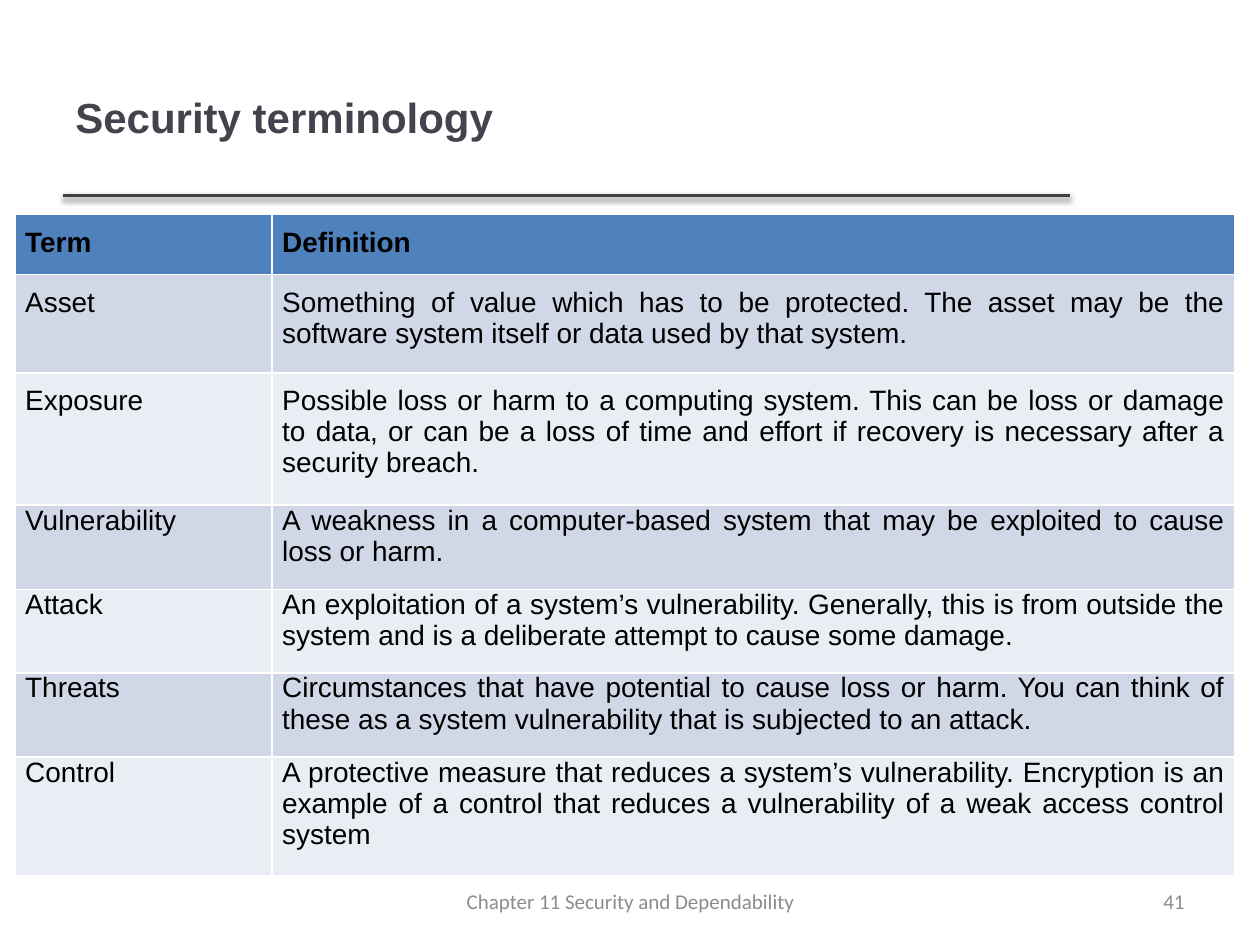
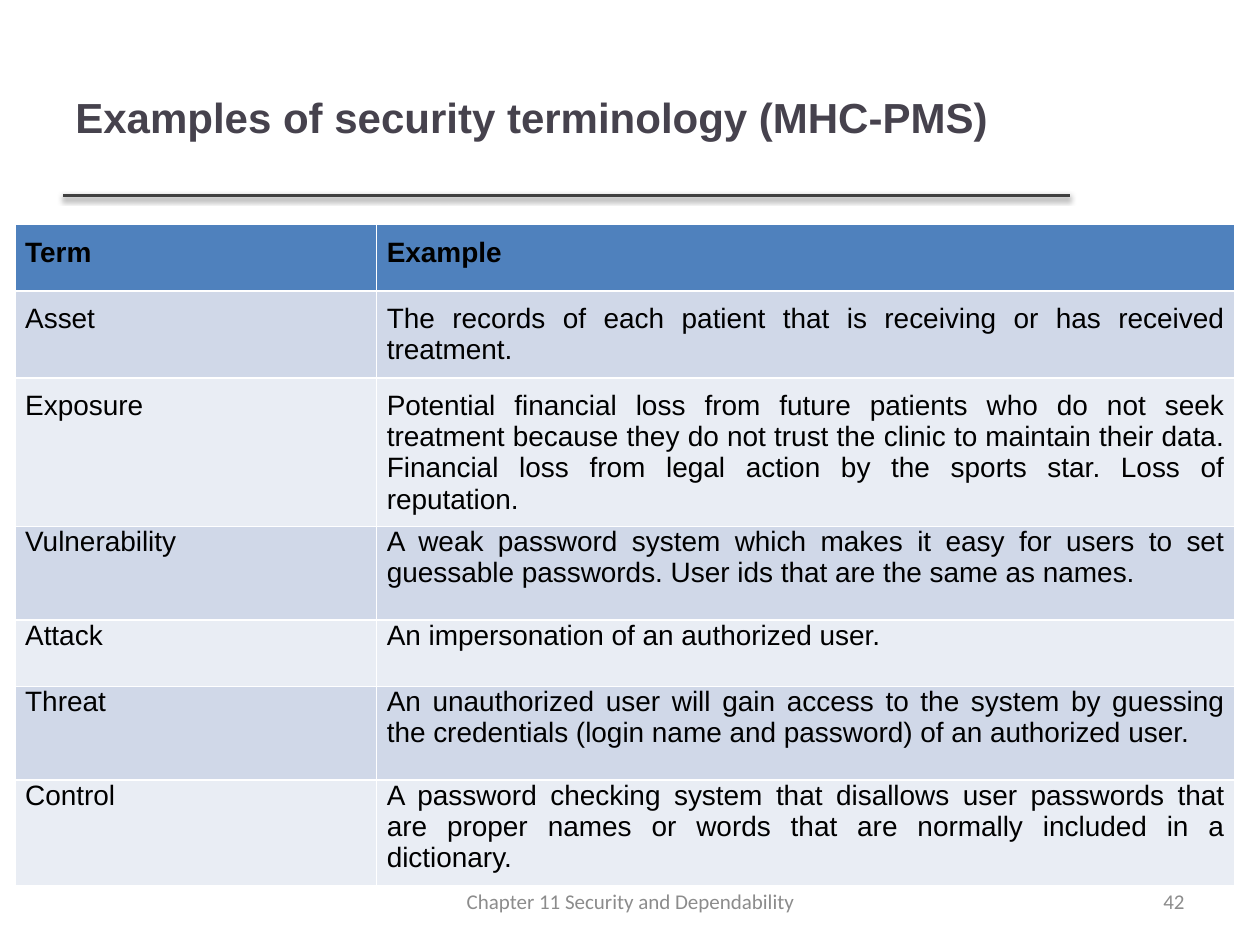
"""Build two slides of security terms, each with a title, a rule, a table and a footer."""
from dataclasses import dataclass
from typing import Any

from pptx import Presentation, util as u
from pptx.dml import color as c
from pptx.enum import shapes, text
from pptx.oxml import parse_xml
from pptx.oxml import ns

COLOURS: dict[str, str] = {
    "title": "46424D", "rule": "404040", "footer": "8C8C8C", "text": "000000",
    "header": "4F81BD", "odd": "D0D8E8", "even": "E9EDF4",
    "border": "FFFFFF", "shadow": "000000",
}
TITLE_FONT = {"name": "Arial", "size": u.Pt(24), "bold": True}
FOOTER_FONT = {"name": "Calibri", "size": u.Pt(12), "bold": False}
HEADER_FONT = {"name": "Arial", "size": u.Pt(16), "bold": True}
BODY_FONT = HEADER_FONT | {"bold": False}
FOOTER_TEXT = "Chapter 11 Security and Dependability"
TABLE_LEFT, TABLE_WIDTH = 0.12, 9.68
CELL_SIDE, CELL_TOP = 0.08, 0.1
PADDED_ROWS = 3


@dataclass(frozen=True)
class Label:
    """A text box with its place and format."""
    left: float
    top: float
    width: float
    height: float
    colour: str
    font: dict[str, Any]
    alignment: text.PP_ALIGN


@dataclass(frozen=True)
class TermPage:
    """The content of one slide and the measures of its table."""
    number: int
    title: str
    table_top: float
    term_width: float
    row_heights: list[float]
    rows: list[tuple[str, str]]


TITLE = Label(0.5, 0.3, 7.98, 1.25, "title", TITLE_FONT, text.PP_ALIGN.LEFT)
NUMBER = Label(7.17, 6.95, 2.33, 0.4, "footer", FOOTER_FONT, text.PP_ALIGN.RIGHT)
FOOTER = Label(3.42, 6.95, 3.17, 0.4, "footer", FOOTER_FONT, text.PP_ALIGN.CENTER)

PAGES = [
    TermPage(
        41, "Security terminology", 1.7, 2.04,
        [0.48, 0.78, 1.05, 0.67, 0.66, 0.67, 0.94],
        [
            ("Term", "Definition"),
            ("Asset", "Something of value which has to be protected. The asset may be "
             "the software system itself or data used by that system."),
            ("Exposure", "Possible loss or harm to a computing system. This can be loss "
             "or damage to data, or can be a loss of time and effort if recovery is "
             "necessary after a security breach."),
            ("Vulnerability", "A weakness in a computer-based system that may be "
             "exploited to cause loss or harm."),
            ("Attack", "An exploitation of a system’s vulnerability. Generally, this is "
             "from outside the system and is a deliberate attempt to cause some damage."),
            ("Threats", "Circumstances that have potential to cause loss or harm. You can "
             "think of these as a system vulnerability that is subjected to an attack."),
            ("Control", "A protective measure that reduces a system’s vulnerability. "
             "Encryption is an example of a control that reduces a vulnerability of a "
             "weak access control system"),
        ],
    ),
    TermPage(
        42, "Examples of security terminology (MHC-PMS)", 1.78, 2.87,
        [0.53, 0.69, 1.18, 0.74, 0.53, 0.74, 0.84],
        [
            ("Term", "Example"),
            ("Asset", "The records of each patient that is receiving or has received "
             "treatment."),
            ("Exposure", "Potential financial loss from future patients who do not seek "
             "treatment because they do not trust the clinic to maintain their data. "
             "Financial loss from legal action by the sports star. Loss of reputation."),
            ("Vulnerability", "A weak password system which makes it easy for users to "
             "set guessable passwords. User ids that are the same as names."),
            ("Attack", "An impersonation of an authorized user."),
            ("Threat", "An unauthorized user will gain access to the system by guessing "
             "the credentials (login name and password) of an authorized user."),
            ("Control", "A password checking system that disallows user passwords that "
             "are proper names or words that are normally included in a dictionary."),
        ],
    ),
]


def rgb(name: str) -> c.RGBColor:
    return c.RGBColor.from_string(COLOURS[name])


def apply_format(target: Any, values: dict[str, Any]) -> None:
    for name, value in values.items():
        setattr(target, name, value)


def write(frame: Any, words: str, colour: str, font: dict[str, Any],
          alignment: text.PP_ALIGN) -> None:
    para = frame.paragraphs[0]
    para.alignment = alignment
    span = para.add_run()
    span.text = words
    apply_format(span.font, font)
    span.font.color.rgb = rgb(colour)


def add_label(page: Any, label: Label, words: str) -> None:
    place = (u.Inches(n) for n in (label.left, label.top, label.width, label.height))
    frame = page.shapes.add_textbox(*place).text_frame
    apply_format(frame, {"word_wrap": True, "vertical_anchor": text.MSO_ANCHOR.MIDDLE})
    write(frame, words, label.colour, label.font, label.alignment)


def add_title_rule(page: Any) -> None:
    rule = page.shapes.add_connector(
        shapes.MSO_CONNECTOR.STRAIGHT,
        u.Inches(0.5), u.Inches(1.55), u.Inches(8.49), u.Inches(1.55))
    rule.line.color.rgb = rgb("rule")
    rule.line.width = u.Pt(2)
    rule._element.spPr.append(parse_xml(
        f'<a:effectLst {ns.nsdecls("a")}>'
        f'<a:outerShdw blurRad="{u.Pt(3.1)}" dist="{u.Pt(1.6)}" dir="5400000" rotWithShape="0">'
        f'<a:srgbClr val="{COLOURS["shadow"]}"><a:alpha val="38000"/></a:srgbClr>'
        '</a:outerShdw></a:effectLst>'))


def add_borders(cell: Any) -> None:
    properties = cell._tc.get_or_add_tcPr()
    for position, side in enumerate("LRTB"):
        properties.insert(position, parse_xml(
            f'<a:ln{side} {ns.nsdecls("a")} w="{u.Pt(1)}"><a:solidFill>'
            f'<a:srgbClr val="{COLOURS["border"]}"/></a:solidFill></a:ln{side}>'))


def fill_cell(cell: Any, words: str, row: int) -> None:
    is_header = row == 0
    apply_format(cell, {
        "margin_left": u.Inches(CELL_SIDE),
        "margin_right": u.Inches(CELL_SIDE),
        "margin_top": u.Inches(CELL_TOP if row < PADDED_ROWS else 0),
        "margin_bottom": u.Inches(0),
    })
    cell.fill.solid()
    cell.fill.fore_color.rgb = rgb("header" if is_header else "odd" if row % 2 else "even")
    add_borders(cell)
    write(cell.text_frame, words, "text", HEADER_FONT if is_header else BODY_FONT,
          text.PP_ALIGN.JUSTIFY)


def add_term_table(page: Any, content: TermPage) -> None:
    widths = [content.term_width, TABLE_WIDTH - content.term_width]
    table = page.shapes.add_table(
        len(content.rows), len(widths), u.Inches(TABLE_LEFT), u.Inches(content.table_top),
        u.Inches(TABLE_WIDTH), u.Inches(sum(content.row_heights))).table
    apply_format(table, {"first_row": True, "horz_banding": False})
    for column, width in zip(table.columns, widths):
        column.width = u.Inches(width)
    for row, (height, entries) in enumerate(zip(content.row_heights, content.rows)):
        table.rows[row].height = u.Inches(height)
        for column, words in enumerate(entries):
            fill_cell(table.cell(row, column), words, row)


def main() -> None:
    deck = Presentation()
    apply_format(deck, {"slide_width": u.Inches(10), "slide_height": u.Inches(7.5)})
    for content in PAGES:
        page = deck.slides.add_slide(deck.slide_layouts[6])
        add_title_rule(page)
        add_label(page, TITLE, content.title)
        add_term_table(page, content)
        add_label(page, NUMBER, str(content.number))
        add_label(page, FOOTER, FOOTER_TEXT)
    deck.save("out.pptx")


if __name__ == "__main__":
    main()
